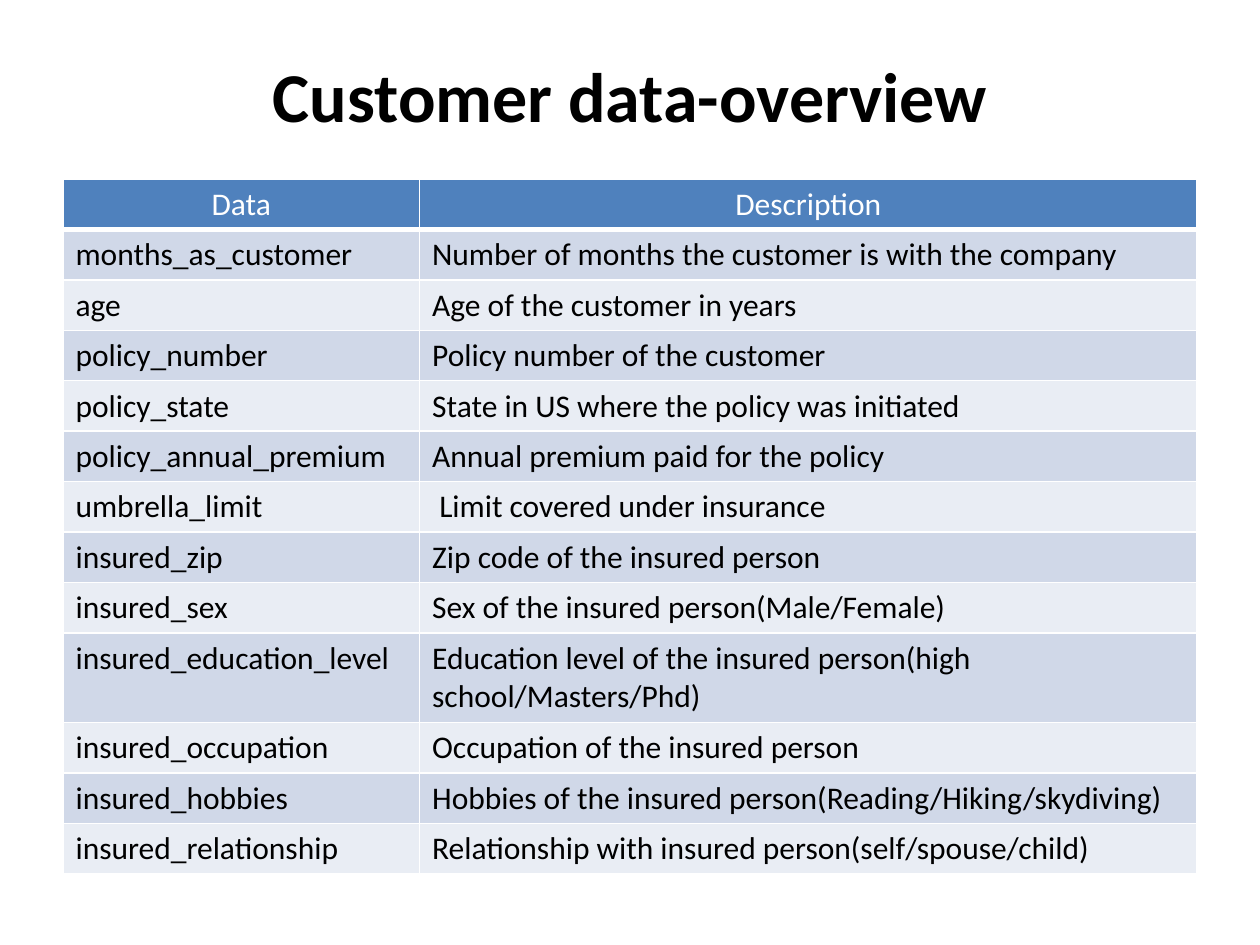
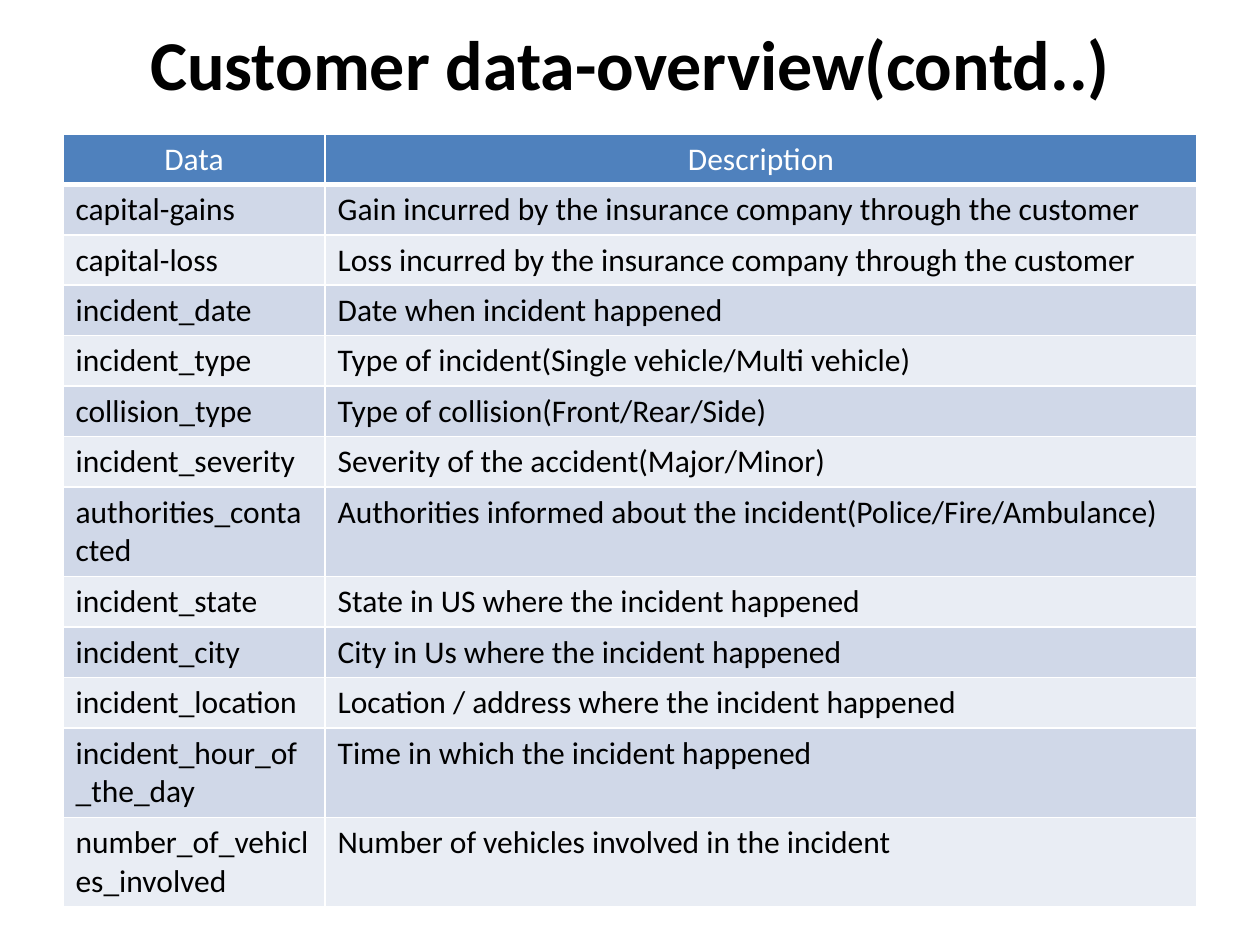
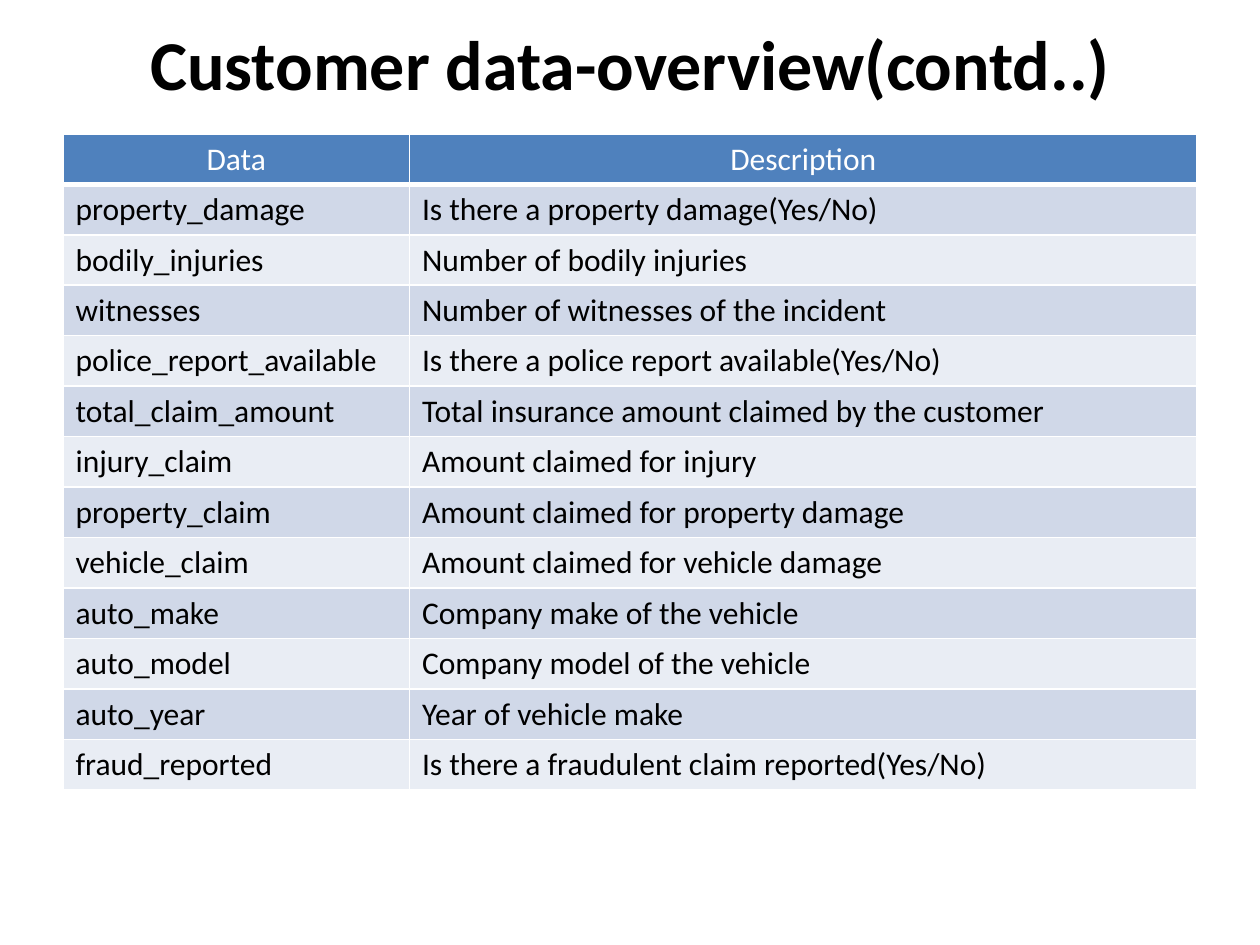
from dataclasses import dataclass

from pptx import Presentation
from pptx.dml.color import RGBColor
from pptx.enum.text import MSO_ANCHOR, PP_ALIGN
from pptx.oxml import parse_xml
from pptx.oxml.ns import nsdecls
from pptx.util import Inches, Pt

MID = MSO_ANCHOR.MIDDLE
LEFT = PP_ALIGN.LEFT
CENTER = PP_ALIGN.CENTER


@dataclass(frozen=True)
class Theme:
    """Colours, type sizes and line widths shared by all slides."""
    font: str = "Calibri"
    ink: str = "000000"
    white: str = "FFFFFF"
    head: str = "4F81BD"
    bands: tuple = ("D0D8E8", "E9EDF4")
    title: int = 40
    body: int = 18
    thin: int = 1
    thick: int = 3


class Deck:
    """Draws on the current slide, on a grid of 20 columns by 30 rows."""

    COLS, ROWS = 20, 30
    EDGE, SPAN = 1, 18
    LINE, TALL = 1.6, 2.84

    def __init__(self, theme):
        """Open an empty deck with the theme."""
        self.theme = theme
        self.prs = Presentation()
        self.prs.slide_width, self.prs.slide_height = Inches(10), Inches(7.5)
        self.slide = None

    def x(self, cols):
        """Turn grid columns into a length."""
        return round(self.prs.slide_width * cols / self.COLS)

    def y(self, rows):
        """Turn grid rows into a length."""
        return round(self.prs.slide_height * rows / self.ROWS)

    def page(self):
        """Start a blank slide."""
        self.slide = self.prs.slides.add_slide(self.prs.slide_layouts[6])

    def text(self, frame, words, size, color, align=LEFT, bold=False):
        """Write one run into a text frame."""
        para = frame.paragraphs[0]
        para.alignment = align
        run = para.add_run()
        run.text = words
        font = run.font
        font.name, font.size, font.bold = self.theme.font, Pt(size), bold
        font.color.rgb = RGBColor.from_string(color)

    def title(self, words, top):
        """Add the slide title."""
        box = self.slide.shapes.add_textbox(
            self.x(self.EDGE), self.y(top), self.x(self.SPAN), self.y(4))
        frame = box.text_frame
        frame.word_wrap, frame.vertical_anchor = True, MID
        self.text(frame, words, self.theme.title, self.theme.ink, CENTER, True)

    def edges(self, cell, base):
        """Draw the four borders of a cell."""
        props = cell._tc.get_or_add_tcPr()
        for side in "LRTB":
            width = Pt(base if side == "B" else self.theme.thin)
            props.append(parse_xml(
                f'<a:ln{side} {nsdecls("a")} w="{width}"><a:solidFill>'
                f'<a:srgbClr val="{self.theme.white}"/></a:solidFill></a:ln{side}>'))

    def cell(self, cell, words, row):
        """Fill and write one cell, styled by its row."""
        look = self.theme
        if row == 0:
            fill, color, align, base = look.head, look.white, CENTER, look.thick
        else:
            fill = look.bands[(row - 1) % 2]
            color, align, base = look.ink, LEFT, look.thin
        self.edges(cell, base)
        cell.fill.solid()
        cell.fill.fore_color.rgb = RGBColor.from_string(fill)
        self.text(cell.text_frame, words, look.body, color, align)

    def table(self, top, split, pairs, tall):
        """Add a table of names and their meanings."""
        lines = [("Data", "Description"), *pairs]
        highs = [self.y(self.TALL if name in tall else self.LINE)
                 for name, _ in lines]
        grid = self.slide.shapes.add_table(
            len(lines), 2, self.x(self.EDGE), self.y(top),
            self.x(self.SPAN), sum(highs)).table
        for col, width in zip(grid.columns, (split, self.SPAN - split)):
            col.width = self.x(width)
        for row, (line, high) in enumerate(zip(lines, highs)):
            grid.rows[row].height = high
            for col, words in enumerate(line):
                self.cell(grid.cell(row, col), words, row)


POLICY = [
    ("months_as_customer", "Number of months the customer is with the company"),
    ("age", "Age of the customer in years"),
    ("policy_number", "Policy number of the customer"),
    ("policy_state", "State in US where the policy was initiated"),
    ("policy_annual_premium", "Annual premium paid for the policy"),
    ("umbrella_limit", " Limit covered under insurance"),
    ("insured_zip", "Zip code of the insured person"),
    ("insured_sex", "Sex of the insured person(Male/Female)"),
    ("insured_education_level",
     "Education level of the insured person(high school/Masters/Phd)"),
    ("insured_occupation", "Occupation of the insured person"),
    ("insured_hobbies", "Hobbies of the insured person(Reading/Hiking/skydiving)"),
    ("insured_relationship", "Relationship with insured person(self/spouse/child)"),
]
EVENT = [
    ("capital-gains", "Gain incurred by the insurance company through the customer"),
    ("capital-loss", "Loss incurred by the insurance company through the customer"),
    ("incident_date", "Date when incident happened"),
    ("incident_type", "Type of incident(Single vehicle/Multi vehicle)"),
    ("collision_type", "Type of collision(Front/Rear/Side)"),
    ("incident_severity", "Severity of the accident(Major/Minor)"),
    ("authorities_contacted",
     "Authorities informed about the incident(Police/Fire/Ambulance)"),
    ("incident_state", "State in US where the incident happened"),
    ("incident_city", "City in Us where the incident happened"),
    ("incident_location", "Location / address where the incident happened"),
    ("incident_hour_of_the_day", "Time in which the incident happened"),
    ("number_of_vehicles_involved", "Number of vehicles involved in the incident"),
]
CLAIM = [
    ("property_damage", "Is there a property damage(Yes/No)"),
    ("bodily_injuries", "Number of bodily injuries"),
    ("witnesses", "Number of witnesses of the incident"),
    ("police_report_available", "Is there a police report available(Yes/No)"),
    ("total_claim_amount", "Total insurance amount claimed by the customer"),
    ("injury_claim", "Amount claimed for injury"),
    ("property_claim", "Amount claimed for property damage"),
    ("vehicle_claim", "Amount claimed for vehicle damage"),
    ("auto_make", "Company make of the vehicle"),
    ("auto_model", "Company model of the vehicle"),
    ("auto_year", "Year of vehicle make"),
    ("fraud_reported", "Is there a fraudulent claim reported(Yes/No)"),
]
TALL = {"insured_education_level", "authorities_contacted",
        "incident_hour_of_the_day", "number_of_vehicles_involved"}
FIRST = "Customer data-overview"
NEXT = FIRST + "(contd..)"
PAGES = [
    (FIRST, 1, 5.68, 5.66, POLICY),
    (NEXT, 0, 4.25, 4.16, EVENT),
    (NEXT, 0, 4.25, 5.5, CLAIM),
]


def main():
    """Build and save the deck."""
    deck = Deck(Theme())
    for words, high, top, split, pairs in PAGES:
        deck.page()
        deck.title(words, high)
        deck.table(top, split, pairs, TALL)
    deck.prs.save("out.pptx")


if __name__ == "__main__":
    main()
